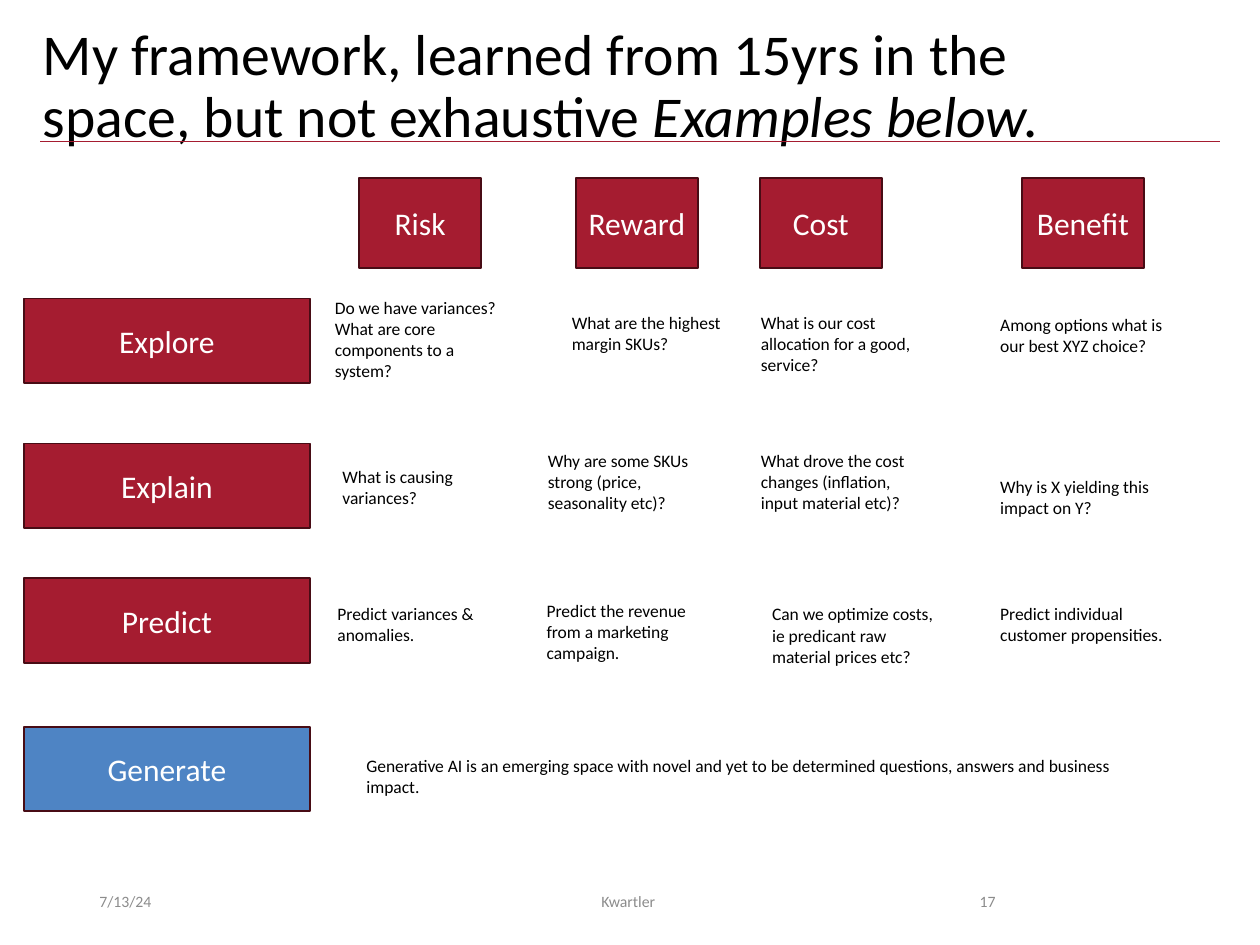
from dataclasses import dataclass

from pptx import Presentation
from pptx.dml.color import RGBColor
from pptx.enum.shapes import MSO_CONNECTOR as CONN, MSO_SHAPE as SHAPE
from pptx.enum.text import MSO_ANCHOR as ANCHOR, MSO_AUTO_SIZE as FIT, PP_ALIGN as ALIGN
from pptx.oxml.ns import qn
from pptx.util import Inches, Pt


@dataclass(frozen=True)
class Theme:
    font: str = "Calibri"
    ink: str = "000000"
    white: str = "FFFFFF"
    crimson: str = "A51C30"
    edge: str = "480C15"
    blue: str = "4E84C4"
    gray: str = "8C8C8C"
    title_size: int = 33
    label_size: int = 18
    body_size: int = 10
    footer_size: int = 9


T = Theme()

# Column heads: name, left
COLUMNS = [("Risk", 2.85), ("Reward", 4.57), ("Cost", 6.03), ("Benefit", 8.11)]

# Rows: name, top, fill, questions as (left, top, width, paragraphs)
ROWS = [
    ("Explore", 2.37, T.crimson, [
        (2.56, 2.31, 1.5, ["Do we have variances?", "What are core components to a system?"]),
        (4.44, 2.43, 1.5, ["What are the highest margin SKUs?"]),
        (5.94, 2.43, 1.5, ["What is our cost allocation for a good, service?"]),
        (7.84, 2.44, 1.5, ["Among options what is our best XYZ choice?"]),
    ]),
    ("Explain", 3.52, T.crimson, [
        (2.62, 3.65, 1.5, ["What is causing variances?"]),
        (4.25, 3.52, 1.5, ["Why are some SKUs strong (price, seasonality etc)?"]),
        (5.94, 3.52, 1.5, ["What drove the cost changes (inflation, input material etc)?"]),
        (7.84, 3.73, 1.5, ["Why is X yielding this impact on Y?"]),
    ]),
    ("Predict", 4.59, T.crimson, [
        (2.58, 4.74, 1.5, ["Predict variances & anomalies."]),
        (4.24, 4.71, 1.5, ["Predict the revenue from a marketing campaign."]),
        (6.03, 4.74, 1.5, ["Can we optimize costs, ie predicant raw material prices etc?"]),
        (7.84, 4.74, 1.5, ["Predict individual customer propensities."]),
    ]),
    ("Generate", 5.77, T.blue, [
        (2.81, 5.94, 6.43, ["Generative AI is an emerging space with novel and yet to be "
                            "determined questions, answers and business impact."]),
    ]),
]

# Footer: text, left, width, alignment
FOOTER = [
    ("7/13/24", 0.69, 2.25, ALIGN.LEFT),
    ("Kwartler ", 3.31, 3.38, ALIGN.CENTER),
    ("17", 7.06, 0.94, ALIGN.RIGHT),
]


def box_of(*lengths):
    return [Inches(n) for n in lengths]


def set_all(obj, values):
    for name, value in values.items():
        setattr(obj, name, value)


def add_run(p, text, size, color, **more):
    r = p.add_run()
    r.text = text
    set_all(r.font, {"name": T.font, "size": Pt(size), **more})
    r.font.color.rgb = RGBColor.from_string(color)


def add_text(slide, box, paragraphs, size, color, align=ALIGN.LEFT, **frame):
    tf = slide.shapes.add_textbox(*box).text_frame
    set_all(tf, {"word_wrap": True, **frame})
    for i, text in enumerate(paragraphs):
        p = tf.add_paragraph() if i else tf.paragraphs[0]
        p.alignment = align
        add_run(p, text, size, color)


def add_label(slide, box, text, fill):
    sp = slide.shapes.add_shape(SHAPE.RECTANGLE, *box)
    sp.shadow.inherit = False
    sp.fill.solid()
    sp.fill.fore_color.rgb = RGBColor.from_string(fill)
    sp.line.color.rgb = RGBColor.from_string(T.edge)
    sp.line.width = Pt(1)
    sp.text_frame.vertical_anchor = ANCHOR.MIDDLE
    p = sp.text_frame.paragraphs[0]
    p.alignment = ALIGN.CENTER
    add_run(p, text, T.label_size, T.white)


def add_title(slide, box):
    # Title with the rule that runs below it
    title = slide.shapes.title
    set_all(title, dict(zip(("left", "top", "width", "height"), box)))
    tf = title.text_frame
    set_all(tf, {"word_wrap": True, "auto_size": FIT.NONE, "vertical_anchor": ANCHOR.TOP})
    p = tf.paragraphs[0]
    set_all(p, {"alignment": ALIGN.LEFT, "line_spacing": 0.9})
    add_run(p, "My framework, learned from 15yrs in the space, but not exhaustive ",
            T.title_size, T.ink)
    add_run(p, "Examples below.", T.title_size, T.ink, italic=True)

    rule = slide.shapes.add_connector(CONN.STRAIGHT, *box_of(0.32, 1.12, 9.68, 1.12))
    rule.line.color.rgb = RGBColor.from_string(T.crimson)
    rule.line.width = Pt(0.5)
    sp_pr = rule._element.spPr
    sp_pr.append(sp_pr.makeelement(qn("a:effectLst"), {}))


def add_heads(slide, top, width, height):
    for name, left in COLUMNS:
        add_label(slide, box_of(left, top, width, height), name, T.crimson)


def add_rows(slide, left, width, height):
    for name, top, fill, questions in ROWS:
        add_label(slide, box_of(left, top, width, height), name, fill)
        for x, y, w, lines in questions:
            # One text line is about a sixth of an inch high
            h = 0.77 if len(lines) > 1 else 0.61 if len(lines[0]) in range(45, 70) else 0.44
            add_text(slide, box_of(x, y, w, h), lines, T.body_size, T.ink,
                     auto_size=FIT.SHAPE_TO_FIT_TEXT)


def add_footer(slide, top, height):
    for text, left, width, align in FOOTER:
        add_text(slide, box_of(left, top, width, height), [text], T.footer_size, T.gray,
                 align, vertical_anchor=ANCHOR.MIDDLE)


def main():
    prs = Presentation()
    set_all(prs, {"slide_width": Inches(10), "slide_height": Inches(7.5)})
    slide = prs.slides.add_slide(prs.slide_layouts[5])
    add_title(slide, box_of(0.24, 0.15, 9.07, 0.65))
    add_heads(slide, 1.41, 0.97, 0.72)
    add_rows(slide, 0.19, 2.27, 0.67)
    add_footer(slide, 6.95, 0.4)
    prs.save("out.pptx")


if __name__ == "__main__":
    main()
